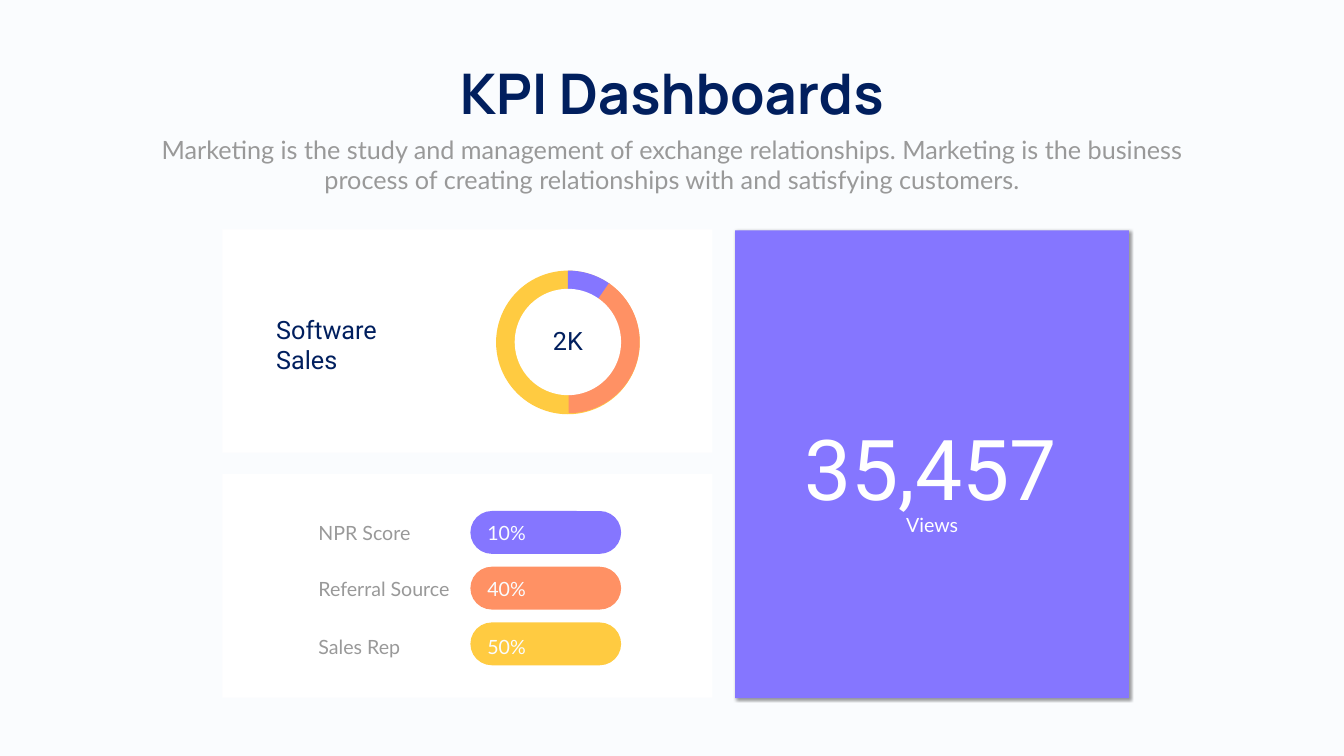
from lxml.etree import SubElement
from pptx import Presentation
from pptx.dml.color import RGBColor
from pptx.enum.shapes import MSO_SHAPE as SHAPE
from pptx.enum.text import MSO_AUTO_SIZE as AUTO, PP_ALIGN as ALIGN
from pptx.oxml.ns import qn
from pptx.util import Pt

COLORS = {
    "back": "FAFCFE", "white": "FFFFFF", "navy": "011F5E", "gray": "999999",
    "violet": "8576FF", "orange": "FF9164", "yellow": "FFCB41", "black": "000000",
}


class Dashboard:
    """Holds the style and the slide, and draws each kind of element in points."""

    def __init__(self, prs):
        self.s = prs.slides.add_slide(prs.slide_layouts[6])
        fill = self.s.background.fill
        fill.solid()
        fill.fore_color.rgb = self.color("back")

    def color(self, name):
        return RGBColor.from_string(COLORS[name])

    def shape(self, kind, x, y, w, h, color):
        sp = self.s.shapes.add_shape(kind, Pt(x), Pt(y), Pt(w), Pt(h))
        sp.shadow.inherit = False
        sp.fill.solid()
        sp.fill.fore_color.rgb = self.color(color)
        sp.line.fill.background()
        return sp

    def pill(self, x, y, w, h, color):
        self.shape(SHAPE.ROUNDED_RECTANGLE, x, y, w, h, color).adjustments[0] = 0.5

    def slice(self, x, y, size, start, end, color):
        sp = self.shape(SHAPE.PIE, x, y, size, size, color)
        for i, degrees in enumerate((start, end)):
            sp.adjustments[i] = degrees * 0.6

    def shadow(self, sp, blur, dist, degrees, alpha):
        effects = sp._element.spPr.find(qn("a:effectLst"))
        outer = SubElement(effects, qn("a:outerShdw"), blurRad=str(Pt(blur)),
                           dist=str(Pt(dist)), dir=str(degrees * 60000),
                           algn="tl", rotWithShape="0")
        clr = SubElement(outer, qn("a:srgbClr"), val=COLORS["black"])
        SubElement(clr, qn("a:alpha"), val=str(alpha * 1000))

    def text(self, text, x, y, w, h, size, font, color,
             align=ALIGN.LEFT, bold=False, wrap=True):
        sp = self.s.shapes.add_textbox(Pt(x), Pt(y), Pt(w), Pt(h))
        tf = sp.text_frame
        tf.text = text
        tf.word_wrap = wrap
        tf.auto_size = AUTO.SHAPE_TO_FIT_TEXT
        for p in tf.paragraphs:
            p.alignment = align
            for r in p.runs:
                r.font.size = Pt(size)
                r.font.name = font
                r.font.bold = bold
                r.font.color.rgb = self.color(color)


def main():
    prs = Presentation()
    prs.slide_width, prs.slide_height = Pt(1919.5), Pt(1080)
    d = Dashboard(prs)

    d.text("KPI Dashboards", 624.2, 80.6, 671, 104.4, 80, "Manrope", "navy",
           ALIGN.CENTER, bold=True, wrap=False)
    d.text("Marketing is the study and management of exchange relationships. "
           "Marketing is the business process of creating relationships with "
           "and satisfying customers.",
           210.2, 187.9, 1499, 94.3, 36, "Lato", "gray", ALIGN.CENTER)

    for y in (327.6, 677.5):
        d.shape(SHAPE.RECTANGLE, 317.5, y, 699.8, 319, "white")

    d.shape(SHAPE.OVAL, 708.5, 386.6, 205.2, 205.2, "yellow")
    d.slice(709.9, 386.6, 203.8, 269.5, 305.9, "violet")
    d.slice(709.9, 386.6, 203.8, 304.65, 89.7, "orange")
    d.shape(SHAPE.OVAL, 735.1, 412.6, 151.9, 151.9, "white")
    d.text("2K", 781.9, 461.5, 58.3, 51.1, 36, "Roboto", "navy",
           ALIGN.CENTER, wrap=False)
    d.text("Software\nSales", 387.4, 445.7, 311, 94.3, 36, "Roboto", "navy")

    views = d.shape(SHAPE.RECTANGLE, 1049.8, 329, 562.3, 668.2, "violet")
    d.shadow(views, blur=4, dist=3, degrees=45, alpha=40)
    d.text("35,457", 1118.9, 591.1, 421.2, 152.6, 120, "Roboto", "white", ALIGN.CENTER)
    d.text("Views", 1244.9, 729.4, 172.8, 41, 28, "Lato", "white", ALIGN.CENTER)

    rows = (
        ("NPR Score", "10%", "violet", 740.2),
        ("Referral Source", "40%", "orange", 820.8),
        ("Sales Rep", "50%", "yellow", 903.6),
    )
    for i, (label, share, color, text_y) in enumerate(rows):
        d.pill(671.8, 730 + i * 79.6, 215.3, 61.2, color)
        d.text(label, 447.8, text_y, 220.3, 41, 28, "Lato", "gray")
        d.text(share, 689, text_y, 169.2, 41, 28, "Lato", "back")

    prs.save("out.pptx")


if __name__ == "__main__":
    main()
